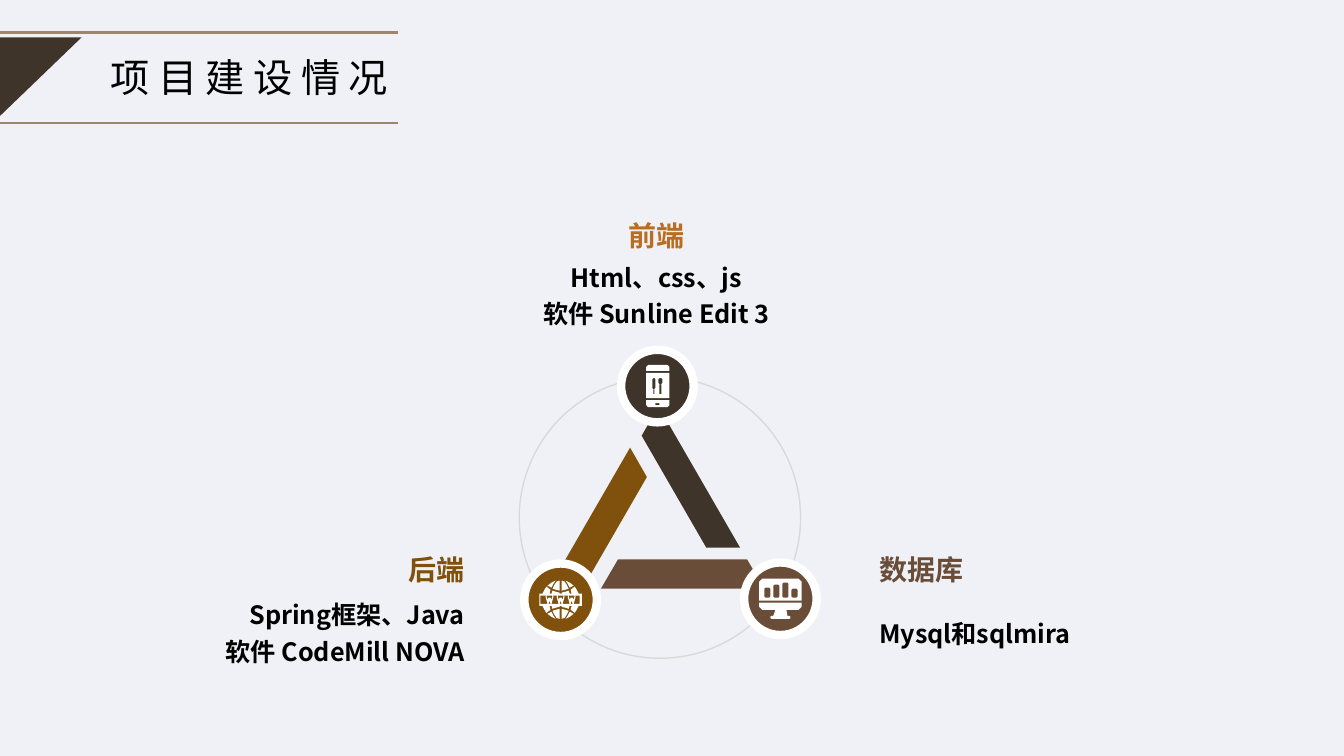
"""Build the project status slide: a three-part cycle of front end, back end and database."""
from typing import NamedTuple

from lxml import etree
from pptx import Presentation
from pptx.dml.color import RGBColor
from pptx.enum.shapes import MSO_CONNECTOR, MSO_SHAPE
from pptx.enum.text import MSO_ANCHOR, PP_ALIGN
from pptx.oxml.ns import qn
from pptx.util import Inches, Pt

ELLIPSE, TRAPEZOID = MSO_SHAPE.OVAL, MSO_SHAPE.TRAPEZOID
STRAIGHT = MSO_CONNECTOR.STRAIGHT
MIDDLE = MSO_ANCHOR.MIDDLE
LEFT, CENTER, RIGHT = PP_ALIGN.LEFT, PP_ALIGN.CENTER, PP_ALIGN.RIGHT

FONT = "Noto Sans CJK SC"
BLACK, WHITE, BACKGROUND = "000000", "FFFFFF", "F0F1F6"
DARK, OCHRE, BROWN, ORANGE = "3E3429", "80500D", "694D39", "BA6C1F"
RULE_COLOR, RING_COLOR = "9E866C", "D9D9D9"

Contour = list[tuple[float, float]]


class Block(NamedTuple):
    """A heading with its lines of detail."""
    left: float
    heading_top: float
    detail_top: float
    heading: str
    color: str
    alignment: PP_ALIGN
    details: list[str]


class Bar(NamedTuple):
    """One side of the triangle."""
    left: float
    top: float
    rotation: int
    color: str


class Badge(NamedTuple):
    """A round badge with its icon."""
    left: float
    top: float
    color: str
    icon: list[Contour]


def box(left: float, top: float, right: float, bottom: float,
        upper: float = 0, lower: float = 0) -> Contour:
    """Return a rectangle with bevelled upper and lower corners."""
    return [(left + upper, top), (right - upper, top), (right, top + upper),
            (right, bottom - lower), (right - lower, bottom), (left + lower, bottom),
            (left, bottom - lower), (left, top + upper)]


def phone_icon() -> list[Contour]:
    """Return a phone showing a knife and a fork."""
    return [box(6.41, 3.62, 6.64, 3.68, upper=0.02), box(6.41, 3.7, 6.64, 3.95),
            box(6.41, 3.97, 6.64, 4.04, lower=0.02), box(6.5, 4, 6.54, 4.02),
            box(6.47, 3.75, 6.5, 3.86, 0.01, 0.01), box(6.48, 3.86, 6.49, 3.91),
            box(6.53, 3.75, 6.57, 3.81, 0.01, 0.01), box(6.54, 3.81, 6.56, 3.91)]


def globe_icon() -> list[Contour]:
    """Return a globe with a lettered band, mirrored from one quarter."""
    middle_x, middle_y = 5.56, 5.95
    quarter = [
        [(0.01, -0.19), (0.04, -0.18), (0.06, -0.15), (0.08, -0.11), (0.05, -0.1), (0.01, -0.09)],
        [(0.05, -0.19), (0.09, -0.17), (0.13, -0.14), (0.09, -0.12), (0.07, -0.16)],
        [(0.01, -0.07), (0.05, -0.08), (0.08, -0.09), (0.09, -0.06), (0.01, -0.06)],
        [(0.1, -0.1), (0.14, -0.13), (0.16, -0.1), (0.18, -0.06), (0.11, -0.06)],
    ]
    letter = [(-0.04, 5.92), (-0.03, 5.91), (-0.02, 5.95), (-0.01, 5.93), (0.01, 5.93),
              (0.02, 5.95), (0.03, 5.91), (0.04, 5.92), (0.02, 5.99), (0.01, 5.99),
              (0, 5.96), (-0.01, 5.99), (-0.02, 5.99)]
    sectors = [[(middle_x + x * across, middle_y + y * down) for x, y in piece]
               for across in (1, -1) for down in (1, -1) for piece in quarter]
    letters = [[(middle_x + step * 0.11 + x, y) for x, y in letter] for step in (-1, 0, 1)]
    return sectors + [box(5.35, 5.89, 5.77, 6.01), box(5.36, 5.91, 5.75, 5.99)] + letters


def monitor_icon() -> list[Contour]:
    """Return a monitor showing four bars."""
    bars = [box(7.58 + index * 0.09, top, 7.64 + index * 0.09, 5.93, 0.01, 0.01)
            for index, top in enumerate((5.83, 5.8, 5.78, 5.84))]
    return bars + [box(7.53, 5.74, 7.95, 5.96, upper=0.03),
                   box(7.53, 5.98, 7.95, 6.05, lower=0.03),
                   [(7.69, 6.05), (7.8, 6.05), (7.81, 6.11), (7.67, 6.11)],
                   box(7.64, 6.11, 7.84, 6.14, 0.01, 0.01)]


BLOCKS = [
    Block(4.71, 2.16, 2.64, "前端", ORANGE, CENTER, ["Html、css、js", "软件 Sunline Edit 3"]),
    Block(1.01, 5.48, 5.99, "后端", OCHRE, RIGHT, ["Spring框架、Java", "软件 CodeMill NOVA"]),
    Block(8.72, 5.48, 5.99, "数据库", BROWN, LEFT, ["Mysql和sqlmira"]),
]
BARS = [Bar(6, 4.66, 240, DARK), Bar(5.96, 5.55, 0, BROWN), Bar(5.16, 5.07, 120, OCHRE)]
BADGES = [
    Badge(6.16, 3.47, DARK, phone_icon()),
    Badge(5.2, 5.59, OCHRE, globe_icon()),
    Badge(7.38, 5.58, BROWN, monitor_icon()),
]


def rgb(color: str) -> RGBColor:
    """Turn a hex string into a colour."""
    return RGBColor.from_string(color)


def style(shape, fill: str = "", line: str = "", width: float = 0) -> None:
    """Set the fill and outline of a shape and drop its shadow."""
    shape.shadow.inherit = False
    for part, color in ((shape.fill, fill), (shape.line.fill, line)):
        if color:
            part.solid()
            part.fore_color.rgb = rgb(color)
        else:
            part.background()
    if line:
        shape.line.width = Pt(width)


def add_shape(slide, kind, left: float, top: float, width: float, height: float):
    """Add a preset shape measured in inches."""
    return slide.shapes.add_shape(kind, Inches(left), Inches(top), Inches(width), Inches(height))


def add_outline(slide, contours: list[Contour], color: str) -> None:
    """Add one filled freeform made of closed contours."""
    scaled = [[(Inches(x), Inches(y)) for x, y in contour] for contour in contours]
    builder = slide.shapes.build_freeform(*scaled[0][0])
    for index, (start, *others) in enumerate(scaled):
        if index:
            builder.move_to(*start)
        builder.add_line_segments(others, close=True)
    style(builder.convert_to_shape(), fill=color)


def add_text(slide, left: float, top: float, width: float, height: float, lines: list[str],
             size: int, color: str, alignment: PP_ALIGN = LEFT, bold: bool = True,
             line_spacing: float = 1.0, letter_spacing: int = 0) -> None:
    """Add a vertically centred text box without margins."""
    text_box = slide.shapes.add_textbox(Inches(left), Inches(top), Inches(width), Inches(height))
    frame = text_box.text_frame
    frame.word_wrap = True
    frame.vertical_anchor = MIDDLE
    frame.margin_left = frame.margin_right = frame.margin_top = frame.margin_bottom = 0
    for index, line in enumerate(lines):
        paragraph = frame.add_paragraph() if index else frame.paragraphs[0]
        paragraph.alignment = alignment
        paragraph.line_spacing = line_spacing
        run = paragraph.add_run()
        run.text = line
        run.font.size, run.font.bold, run.font.name = Pt(size), bold, FONT
        run.font.color.rgb = rgb(color)
        properties = run.font._element
        etree.SubElement(properties, qn("a:ea")).set("typeface", FONT)
        if letter_spacing:
            properties.set("spc", str(letter_spacing * 100))


def add_title(slide) -> None:
    """Add the title between two rules, with its corner triangle."""
    for height in (0.32, 1.22):
        rule = slide.shapes.add_connector(STRAIGHT, 0, Inches(height), Inches(3.95), Inches(height))
        rule.line.color.rgb = rgb(RULE_COLOR)
        rule.line.width = Pt(2)
        etree.SubElement(rule._element.spPr, qn("a:effectLst"))
    add_text(slide, 1.1, 0.32, 3, 0.89, ["项目建设情况"], 28, BLACK, bold=False, letter_spacing=6)
    add_outline(slide, [[(0, 0.37), (0.81, 0.37), (0, 1.15)]], DARK)


def main() -> None:
    """Build and save the slide."""
    presentation = Presentation()
    presentation.slide_width, presentation.slide_height = Inches(13.33), Inches(7.5)
    slide = presentation.slides.add_slide(presentation.slide_layouts[6])
    slide.background.fill.solid()
    slide.background.fill.fore_color.rgb = rgb(BACKGROUND)
    add_title(slide)
    style(add_shape(slide, ELLIPSE, 5.15, 3.74, 2.79, 2.79), line=RING_COLOR, width=1)
    for bar in BARS:
        shape = add_shape(slide, TRAPEZOID, bar.left, bar.top, 1.62, 0.29)
        shape.adjustments[0] = 0.584
        shape.rotation = bar.rotation
        style(shape, fill=bar.color)
    for badge in BADGES:
        circle = add_shape(slide, ELLIPSE, badge.left, badge.top, 0.72, 0.72)
        style(circle, fill=badge.color, line=WHITE, width=6)
        add_outline(slide, badge.icon, WHITE)
    for block in BLOCKS:
        add_text(slide, block.left, block.heading_top, 3.6, 0.34, [block.heading], 20,
                 block.color, block.alignment)
        add_text(slide, block.left, block.detail_top, 3.6, 0.52, block.details, 18,
                 BLACK, block.alignment, line_spacing=1.2)
    presentation.save("out.pptx")


if __name__ == "__main__":
    main()
